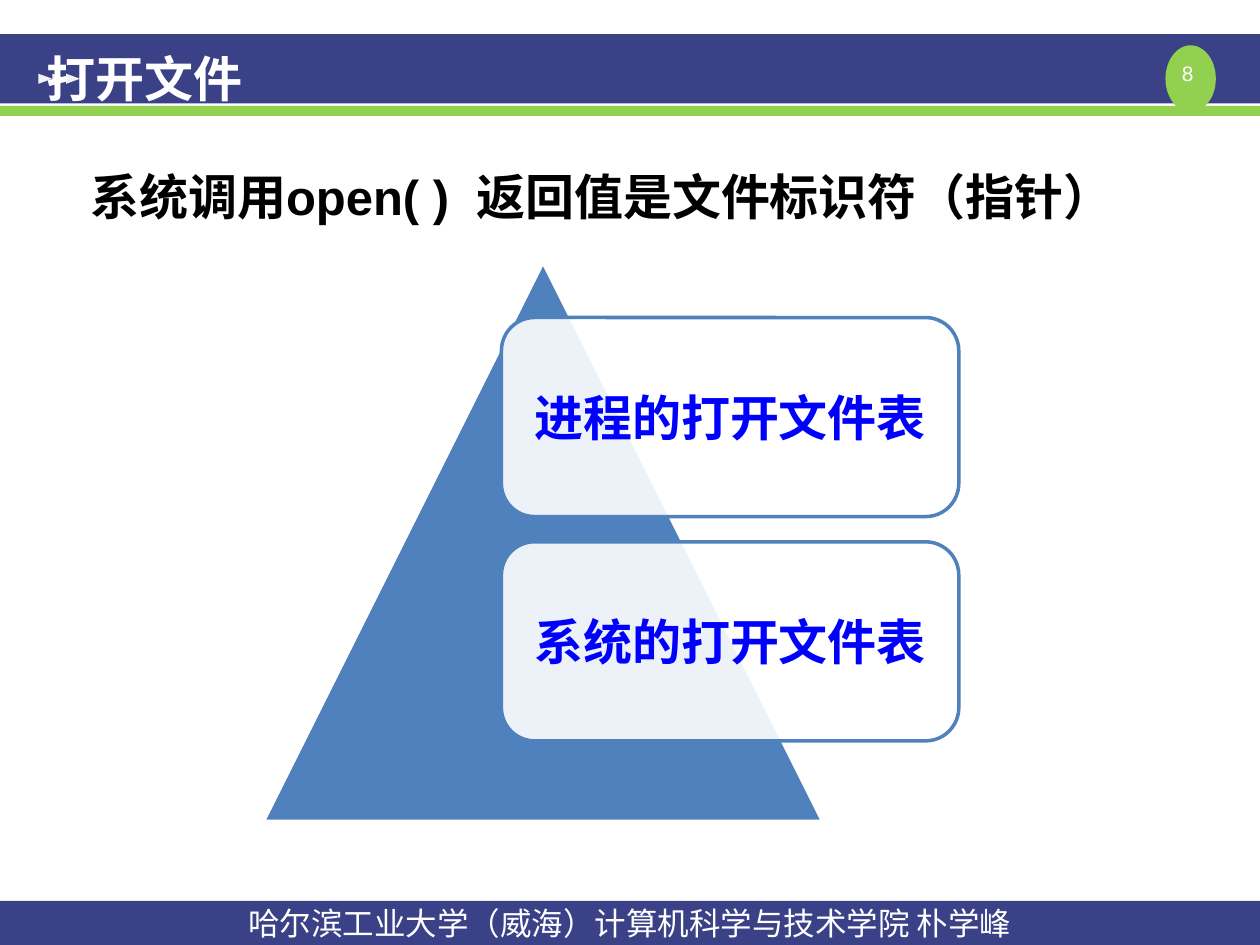
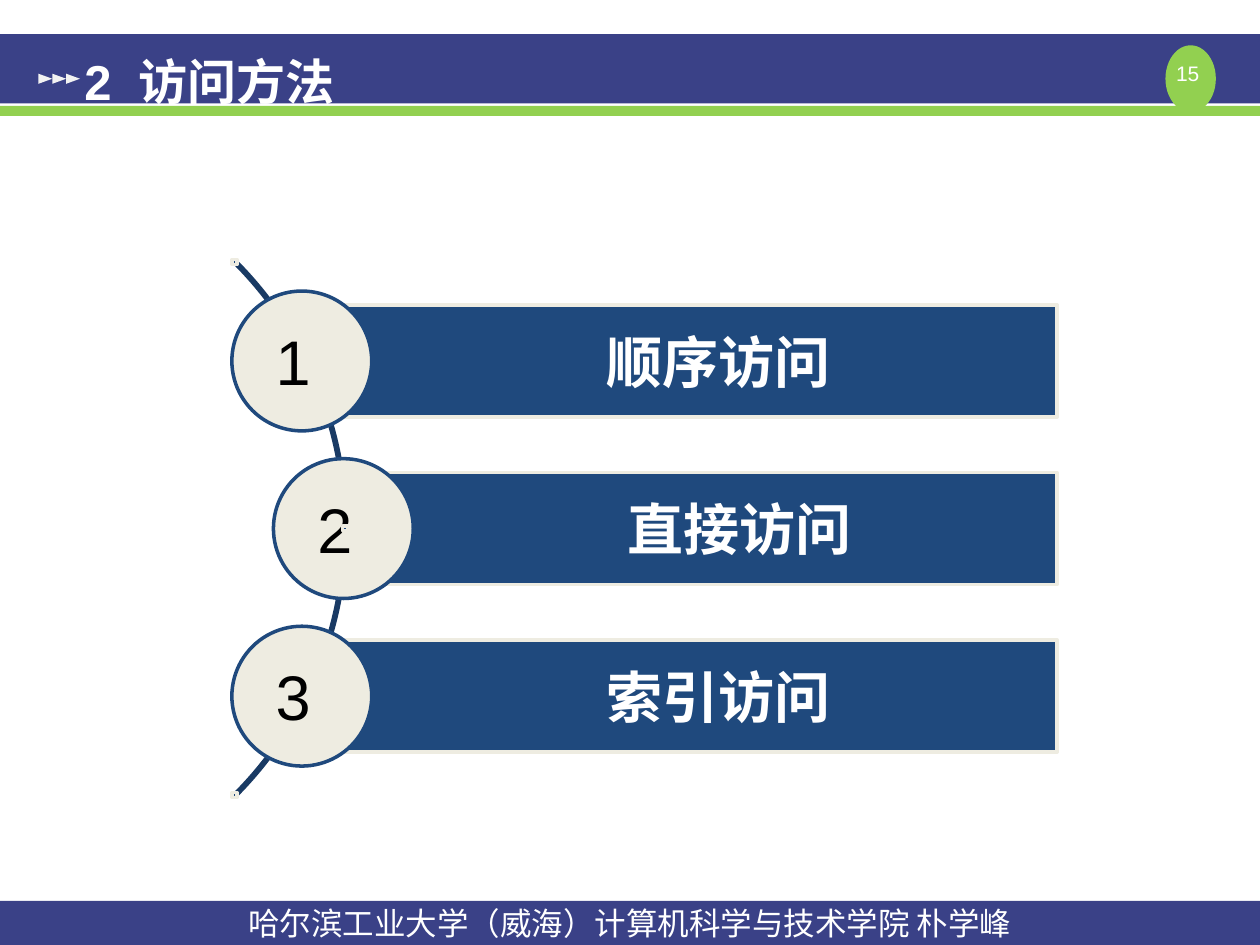
"""Build two lecture slides on opening files and access methods."""
from dataclasses import dataclass

from lxml import etree
from pptx import Presentation
from pptx.dml.color import RGBColor
from pptx.enum.shapes import MSO_SHAPE
from pptx.enum.text import MSO_ANCHOR, PP_ALIGN
from pptx.oxml.ns import qn
from pptx.util import Inches, Pt

RECT = MSO_SHAPE.RECTANGLE
ROUND = MSO_SHAPE.ROUNDED_RECTANGLE
OVAL = MSO_SHAPE.OVAL
PEAK = MSO_SHAPE.ISOSCELES_TRIANGLE
ARC = MSO_SHAPE.BLOCK_ARC
LEFT, MID = PP_ALIGN.LEFT, PP_ALIGN.CENTER
TOP, CORE = MSO_ANCHOR.TOP, MSO_ANCHOR.MIDDLE


@dataclass(frozen=True)
class Theme:
    """Colours, font and type sizes of the deck."""
    font: str = "Arial"
    band: str = "3A4187"
    lime: str = "92D050"
    white: str = "FFFFFF"
    pale: str = "F2F2F2"
    black: str = "000000"
    peak: str = "4F81BD"
    link: str = "0000FF"
    navy: str = "1F497D"
    sand: str = "EEECE1"
    arc: str = "193A64"
    page: int = 12
    foot: int = 18
    head: int = 28
    bar: int = 32
    digit: int = 36
    line: int = 2
    gap: int = 780


THEME = Theme()
FOOTER = "哈尔滨工业大学（威海）计算机科学与技术学院 朴学峰"


def paint(slide, kind, box, fill=None, line=None):
    """Add a flat preset shape."""
    shape = slide.shapes.add_shape(kind, *map(Inches, box))
    shape.shadow.inherit = False
    if fill:
        shape.fill.solid()
        shape.fill.fore_color.rgb = RGBColor.from_string(fill)
    else:
        shape.fill.background()
    if line:
        shape.line.color.rgb = RGBColor.from_string(line)
        shape.line.width = Pt(THEME.line)
    else:
        shape.line.fill.background()
    return shape


def fade(shape, share):
    """Set the opacity of a solid fill in percent."""
    color = shape.fill._xPr.find(qn("a:solidFill"))[0]
    etree.SubElement(color, qn("a:alpha")).set("val", str(share * 1000))


def write(shape, parts, size, color, bold=False, align=MID, anchor=CORE,
          inset=(0.1, 0.05, 0.1, 0.05), wrap=True):
    """Fill a shape with one paragraph; a lone space becomes a wide gap."""
    frame = shape.text_frame
    frame.word_wrap = wrap
    frame.vertical_anchor = anchor
    (frame.margin_left, frame.margin_top,
     frame.margin_right, frame.margin_bottom) = map(Inches, inset)
    par = frame.paragraphs[0]
    par.alignment = align
    font = par.font
    font.name, font.size, font.bold = THEME.font, Pt(size), bold
    font.color.rgb = RGBColor.from_string(color)
    for part in parts:
        run = par.add_run()
        run.text = part
        if part == " ":
            run._r.get_or_add_rPr().set("spc", str(THEME.gap))


def label(slide, box, parts, size, color, **style):
    """Add a text box."""
    write(slide.shapes.add_textbox(*map(Inches, box)),
          parts, size, color, **style)


def header(slide, box, page):
    """Draw the top band with its arrows and page badge."""
    x, y, w, h = box
    paint(slide, RECT, box, THEME.band)
    paint(slide, RECT, (x, y + 0.57, w, 0.08), THEME.lime)
    badge = x + w - 0.75
    paint(slide, OVAL, (badge, y + 0.09, 0.4, 0.53), THEME.lime)
    label(slide, (badge, y + 0.21, 0.4, 0.2), (f"{page} ",), THEME.page,
          THEME.white, anchor=TOP, inset=(0, 0, 0, 0))
    for i in range(3):
        arrow = paint(slide, PEAK, (x + 0.32 + 0.11 * i, y + 0.3, 0.08, 0.11),
                      THEME.pale)
        arrow.rotation = 90


def footer(slide, box):
    """Draw the bottom band with its credit line."""
    write(paint(slide, RECT, box, THEME.band), (FOOTER,),
          THEME.foot, THEME.white)


def start(deck, page, title, box):
    """Add a slide with the shared bands and a title."""
    slide = deck.slides.add_slide(deck.slide_layouts[6])
    header(slide, (0, 0.27, 10, 0.55), page)
    footer(slide, (0, 7.15, 10, 0.35))
    label(slide, box, title, THEME.head, THEME.white, bold=True, align=LEFT,
          inset=(0.13, 0.07, 0.13, 0.07))
    return slide


def pyramid(slide, box, names):
    """Draw a triangle with a stack of cards on its right half."""
    x, y, w, h = box
    paint(slide, PEAK, box, THEME.peak, THEME.white)
    for i, name in enumerate(names):
        card = paint(slide, ROUND, (x + 1.89, y + 0.44 + 1.78 * i, 3.63, 1.58),
                     THEME.white, THEME.peak)
        fade(card, 90)
        write(card, (name,), THEME.head, THEME.link, bold=True,
              inset=(0.12,) * 4)


def curve(slide, box, names):
    """Draw numbered bars along an arc."""
    x, y, w, h = box
    arc = paint(slide, ARC, (x - 5.1, y - 0.87, 6.01, 6.01), line=THEME.arc)
    for i, value in enumerate((189, 27, 0.003)):
        arc.adjustments[i] = value
    shifts = (0, 0.33, 0)
    for i, (name, shift) in enumerate(zip(names, shifts)):
        left, top = x + shift, y + 0.25 + 1.33 * i
        bar = paint(slide, RECT, (left + 0.56, top + 0.11,
                                  w - shift - 0.56, 0.89),
                    THEME.navy, THEME.sand)
        write(bar, (name,), THEME.bar, THEME.white, bold=True,
              inset=(0.71, 0.09, 0.09, 0.09))
        paint(slide, OVAL, (left, top, 1.11, 1.11), THEME.sand, THEME.navy)
        label(slide, (left + 0.25, top + 0.2, 0.5, 0.71), (str(i + 1),),
              THEME.digit, THEME.black, align=LEFT, anchor=TOP, wrap=False)
    for i, shift in enumerate((0, 0.88, 0)):
        paint(slide, RECT, (x + shift, y + (h - 0.04) / 2 * i, 0.04, 0.04),
              THEME.navy, THEME.sand)


def main():
    """Build and save the deck."""
    deck = Presentation()
    deck.slide_width, deck.slide_height = Inches(10), Inches(7.5)

    slide = start(deck, 8, ("打开文件",), (0.24, 0.27, 6.45, 0.7))
    label(slide, (0.5, 1.25, 9, 5.5),
          (" 系统调用open( )", " ", "返回值是文件标识符（指针）"),
          THEME.head, THEME.black, bold=True, align=LEFT, anchor=TOP,
          inset=(0.13, 0.07, 0.13, 0.07))
    pyramid(slide, (2.09, 2.08, 4.44, 4.44),
            ("进程的打开文件表", "系统的打开文件表"))

    slide = start(deck, 15, ("2", " ", "访问方法"), (0.54, 0.43, 6.14, 0.42))
    curve(slide, (1.84, 2.06, 6.55, 4.27),
          ("顺序访问", "直接访问", "索引访问"))
    deck.save("out.pptx")


if __name__ == "__main__":
    main()
